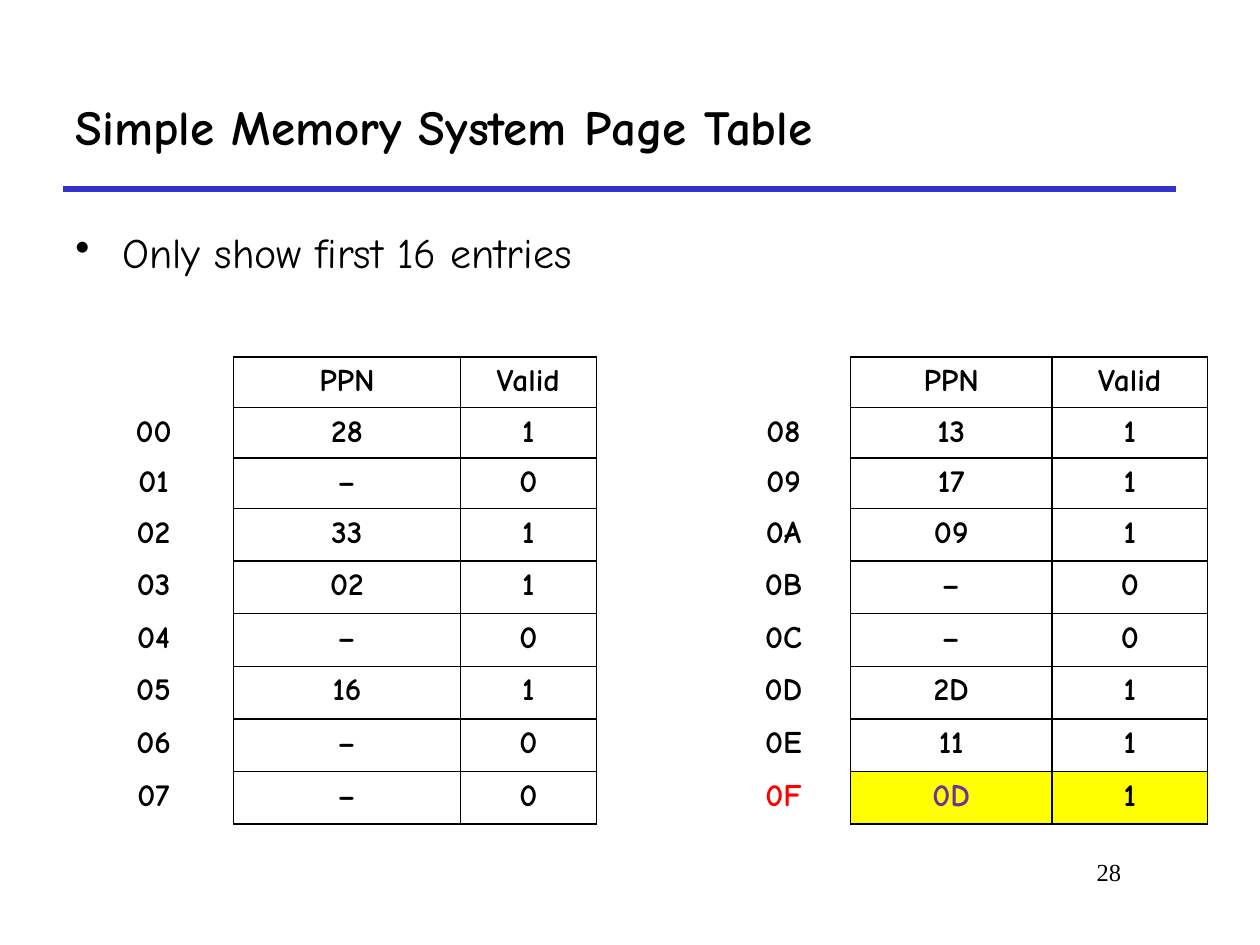
from dataclasses import dataclass

import pptx
import pptx.dml.color
import pptx.enum.shapes
import pptx.enum.text
import pptx.oxml
import pptx.oxml.ns
import pptx.util
from lxml import etree

Cm = pptx.util.Cm
Pt = pptx.util.Pt
PP_ALIGN = pptx.enum.text.PP_ALIGN
MSO_ANCHOR = pptx.enum.text.MSO_ANCHOR
qn = pptx.oxml.ns.qn


@dataclass(frozen=True)
class Theme:
    font: str = "Comic Neue"
    number_font: str = "Times New Roman"
    ink: str = "000000"
    rule: str = "3333CC"
    alert: str = "FF0000"
    accent: str = "7030A0"
    highlight: str = "FFFF00"
    title_size: int = 28
    body_size: int = 24
    table_size: int = 18
    number_size: int = 14


class SlideBuilder:
    def __init__(self, s, theme):
        self.s = s
        self.theme = theme

    def color(self, value):
        return pptx.dml.color.RGBColor.from_string(value)

    def format(self, p, size, color=None, bold=False, font=None, align=PP_ALIGN.LEFT):
        p.alignment = align
        for r in p.runs:
            r.font.name = font or self.theme.font
            r.font.size = Pt(size)
            r.font.bold = bold
            r.font.color.rgb = self.color(color or self.theme.ink)

    def title(self, text, left, top, width, height):
        sp = self.s.shapes.title
        sp.left, sp.top, sp.width, sp.height = Cm(left), Cm(top), Cm(width), Cm(height)
        tf = sp.text_frame
        tf.text = text
        tf.vertical_anchor = MSO_ANCHOR.MIDDLE
        self.format(tf.paragraphs[0], self.theme.title_size, bold=True)

    def rule(self, left, right, y):
        line = self.s.shapes.add_connector(
            pptx.enum.shapes.MSO_CONNECTOR.STRAIGHT, Cm(left), Cm(y), Cm(right), Cm(y))
        line.line.color.rgb = self.color(self.theme.rule)
        line.line.width = Pt(3)
        etree.SubElement(line._element.spPr, qn("a:effectLst"))

    def text(self, text, left, top, width, height):
        sp = self.s.shapes.add_textbox(Cm(left), Cm(top), Cm(width), Cm(height))
        tf = sp.text_frame
        tf.word_wrap = True
        tf.text = text
        return tf.paragraphs[0]

    def bullet(self, text, left, top, width, height, indent):
        p = self.text(text, left, top, width, height)
        pPr = p._p.get_or_add_pPr()
        pPr.set("marL", str(Cm(indent)))
        pPr.set("indent", str(-Cm(indent)))
        etree.SubElement(pPr, qn("a:buChar"), char="•")
        self.format(p, self.theme.body_size)

    def number(self, text, left, top, width, height):
        p = self.text(text, left, top, width, height)
        self.format(p, self.theme.number_size, font=self.theme.number_font,
                    align=PP_ALIGN.RIGHT)

    def borders(self, cell, visible):
        tcPr = cell._tc.get_or_add_tcPr()
        for side in "LRTB":
            ln = etree.SubElement(tcPr, qn(f"a:ln{side}"), w=str(Pt(1)))
            if side in visible:
                fill = etree.SubElement(ln, qn("a:solidFill"))
                etree.SubElement(fill, qn("a:srgbClr"), val=self.theme.ink)
            else:
                etree.SubElement(ln, qn("a:noFill"))

    def page_table(self, rows, left, top, widths, heights, highlighted=None):
        frame = self.s.shapes.add_table(
            len(rows), len(widths), Cm(left), Cm(top), Cm(sum(widths)), Cm(sum(heights)))
        table = frame.table
        table.first_row = table.horz_banding = False
        for column, width in zip(table.columns, widths):
            column.width = Cm(width)
        for row, height in zip(table.rows, heights):
            row.height = Cm(height)
        marked_colors = (self.theme.alert, self.theme.accent, self.theme.ink)
        for i, row in enumerate(rows):
            marked = row[0] == highlighted
            for j, value in enumerate(row):
                cell = table.cell(i, j)
                self.borders(cell, "LRTB" if j else "R")
                if marked and j:
                    cell.fill.solid()
                    cell.fill.fore_color.rgb = self.color(self.theme.highlight)
                else:
                    cell.fill.background()
                cell.text_frame.text = value
                self.format(cell.text_frame.paragraphs[0], self.theme.table_size,
                            marked_colors[j] if marked else None, True,
                            align=PP_ALIGN.CENTER)


def page_rows(first_vpn, ppns):
    rows = [("", "PPN", "Valid")]
    for vpn, ppn in enumerate(ppns.split(), first_vpn):
        rows.append((f"{vpn:02X}", ppn, "0" if ppn == "–" else "1"))
    return rows


def main():
    prs = pptx.Presentation()
    prs.slide_width, prs.slide_height = Cm(25.4), Cm(19.05)
    s = prs.slides.add_slide(prs.slide_layouts[5])
    builder = SlideBuilder(s, Theme())

    builder.rule(1.27, 23.7, 3.81)
    builder.number("28", 19.25, 17.15, 3.6, 1.27)
    builder.title("Simple Memory System Page Table", 1.27, 1.27, 22.43, 2.54)
    builder.bullet("Only show first 16 entries", 1.27, 4.45, 20.96, 1.48, 0.95)

    heights = [1.01] * 3 + [1.06] * 6
    builder.page_table(page_rows(0x00, "28 – 33 02 – 16 – –"),
                       1.48, 7.2, (3.23, 4.57, 2.74), heights)
    builder.page_table(page_rows(0x08, "13 17 09 – – 2D 11 0D"),
                       14.45, 7.2, (2.69, 4.07, 3.13), heights, "0F")

    prs.save("out.pptx")


if __name__ == "__main__":
    main()
